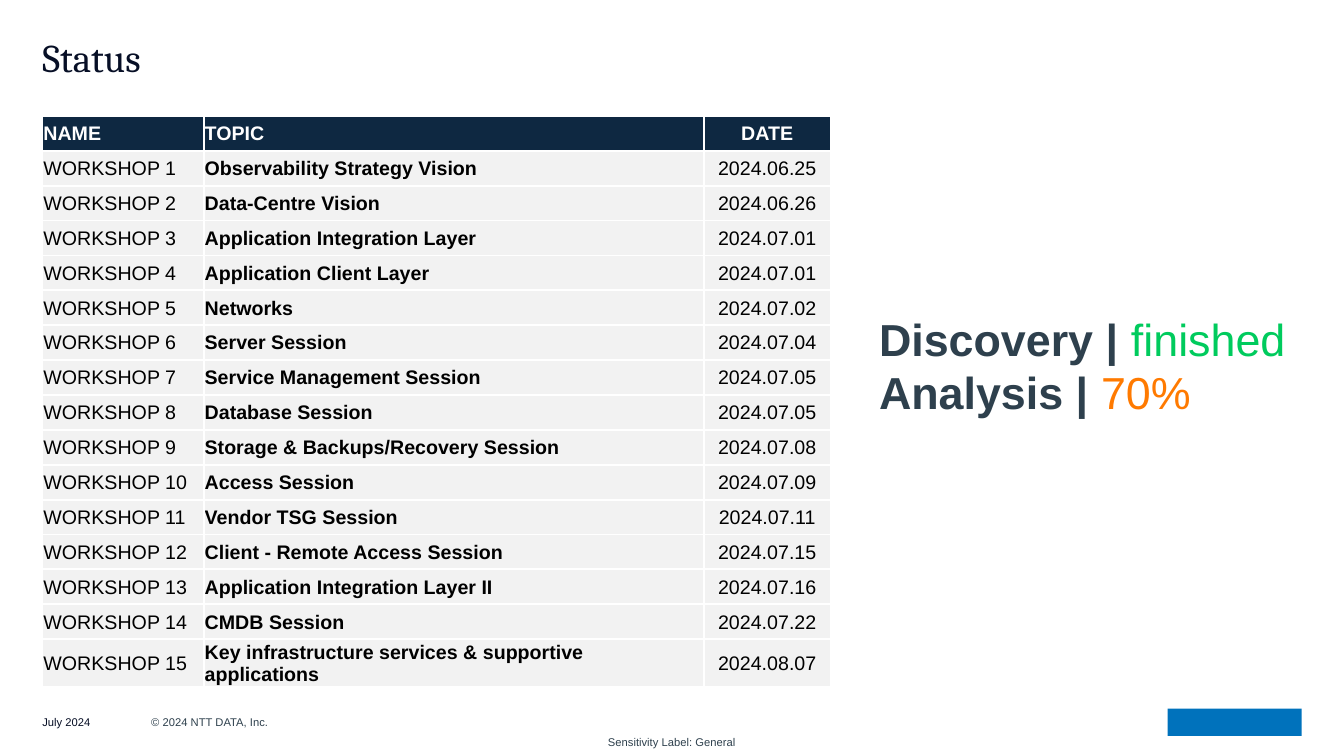
import pptx
import pptx.dml.color
import pptx.enum.shapes
import pptx.enum.text
import pptx.oxml
import pptx.oxml.ns
import pptx.util

Inches = pptx.util.Inches
Pt = pptx.util.Pt
RGBColor = pptx.dml.color.RGBColor
ANCHOR = pptx.enum.text.MSO_ANCHOR
ALIGN = pptx.enum.text.PP_ALIGN

HEADERS = ("NAME", "TOPIC", "DATE")
WORKSHOPS = [
    ("Observability Strategy Vision", "2024.06.25"),
    ("Data-Centre Vision", "2024.06.26"),
    ("Application Integration Layer", "2024.07.01"),
    ("Application Client Layer", "2024.07.01"),
    ("Networks", "2024.07.02"),
    ("Server Session", "2024.07.04"),
    ("Service Management Session", "2024.07.05"),
    ("Database Session", "2024.07.05"),
    ("Storage & Backups/Recovery Session", "2024.07.08"),
    ("Access Session", "2024.07.09"),
    ("Vendor TSG Session", "2024.07.11"),
    ("Client - Remote Access Session", "2024.07.15"),
    ("Application Integration Layer II", "2024.07.16"),
    ("CMDB Session", "2024.07.22"),
    ("Key infrastructure services & supportive applications", "2024.08.07"),
]
COLUMN_WIDTHS = (1.6, 4.96, 1.26)
TABLE_HEIGHT = 5.54

WHITE = RGBColor(0xFF, 0xFF, 0xFF)
BLACK = RGBColor(0, 0, 0)
HEADER_NAVY = RGBColor(0x0E, 0x28, 0x41)
ROW_GRAY = RGBColor(0xF2, 0xF2, 0xF2)
TITLE_NAVY = RGBColor(0x07, 0x0F, 0x26)
DATE_NAVY = RGBColor(0x05, 0x0D, 0x24)
SLATE = RGBColor(0x2E, 0x40, 0x4D)
GREEN = RGBColor(0x00, 0xCB, 0x5D)
ORANGE = RGBColor(0xFF, 0x7A, 0x00)
LOGO_BLUE = RGBColor(0x00, 0x72, 0xBC)

PHASES = [("Discovery | ", "finished", GREEN), ("Analysis | ", "70%", ORANGE)]
LABELS = [
    ("Sensitivity Label: General", (6.03, 7.3, 1.3, 0.13), 0, 8, "Arial", SLATE, ANCHOR.TOP),
    ("Status", (0.42, 0.33, 12.5, 0.58), 0.05, 28, "Cambria", TITLE_NAVY, ANCHOR.TOP),
    ("July 2024", (0.42, 7, 1, 0.33), 0, 8, "Arial", DATE_NAVY, ANCHOR.MIDDLE),
    ("© 2024 NTT DATA, Inc.", (1.5, 7, 4.5, 0.33), 0, 8, "Arial", SLATE, ANCHOR.MIDDLE),
]


def set_font(font, size, name, color, bold=False):
    font.size = Pt(size)
    font.name = name
    font.color.rgb = color
    font.bold = bold


def add_label(slide, text, box, inset, size, name, color, anchor):
    tf = slide.shapes.add_textbox(*map(Inches, box)).text_frame
    tf.word_wrap = True
    tf.vertical_anchor = anchor
    tf.margin_left = tf.margin_right = 0
    tf.margin_top = tf.margin_bottom = Inches(inset)
    p = tf.paragraphs[0]
    p.text = text
    if name == "Cambria":
        p.line_spacing = 0.9
    set_font(p.font, size, name, color)


def add_borders(cell):
    tcPr = cell._tc.get_or_add_tcPr()
    for side in ("lnL", "lnR", "lnT", "lnB"):
        tcPr.append(pptx.oxml.parse_xml(
            f'<a:{side} {pptx.oxml.ns.nsdecls("a")} w="{Pt(1.5)}">'
            f'<a:solidFill><a:srgbClr val="{WHITE}"/></a:solidFill></a:{side}>'))


def add_schedule(slide):
    rows = [HEADERS] + [(f"WORKSHOP {n}", *w) for n, w in enumerate(WORKSHOPS, 1)]
    table = slide.shapes.add_table(
        len(rows), len(HEADERS), Inches(0.42), Inches(1.15),
        Inches(sum(COLUMN_WIDTHS)), Inches(TABLE_HEIGHT)).table
    for column, width in zip(table.columns, COLUMN_WIDTHS):
        column.width = Inches(width)
    for i, row in enumerate(rows):
        table.rows[i].height = Inches(TABLE_HEIGHT / len(rows))
        for j, text in enumerate(row):
            cell = table.cell(i, j)
            add_borders(cell)
            cell.fill.solid()
            cell.fill.fore_color.rgb = ROW_GRAY if i else HEADER_NAVY
            cell.vertical_anchor = ANCHOR.MIDDLE
            cell.margin_left = cell.margin_right = cell.margin_top = Inches(0.01)
            cell.margin_bottom = 0
            p = cell.text_frame.paragraphs[0]
            p.text = text
            p.alignment = ALIGN.CENTER if j == 2 else ALIGN.LEFT
            set_font(p.font, 14, "Arial", BLACK if i else WHITE, i == 0 or j == 1)


def add_phases(slide):
    tf = slide.shapes.add_textbox(
        Inches(8.62), Inches(3.04), Inches(4.26), Inches(1.18)).text_frame
    tf.word_wrap = False
    tf.auto_size = pptx.enum.text.MSO_AUTO_SIZE.SHAPE_TO_FIT_TEXT
    for i, (phase, status, color) in enumerate(PHASES):
        p = tf.add_paragraph() if i else tf.paragraphs[0]
        for text, run_color, bold in ((phase, SLATE, True), (status, color, False)):
            r = p.add_run()
            r.text = text
            set_font(r.font, 32, "Arial", run_color, bold)


def main():
    prs = pptx.Presentation()
    prs.slide_width = Inches(13.33)
    prs.slide_height = Inches(7.5)
    s = prs.slides.add_slide(prs.slide_layouts[6])
    logo = s.shapes.add_shape(
        pptx.enum.shapes.MSO_SHAPE.RECTANGLE,
        Inches(11.58), Inches(7.03), Inches(1.33), Inches(0.27))
    logo.shadow.inherit = False
    logo.fill.solid()
    logo.fill.fore_color.rgb = LOGO_BLUE
    logo.line.fill.background()
    for label in LABELS:
        add_label(s, *label)
    add_schedule(s)
    add_phases(s)
    prs.save("out.pptx")


if __name__ == "__main__":
    main()
